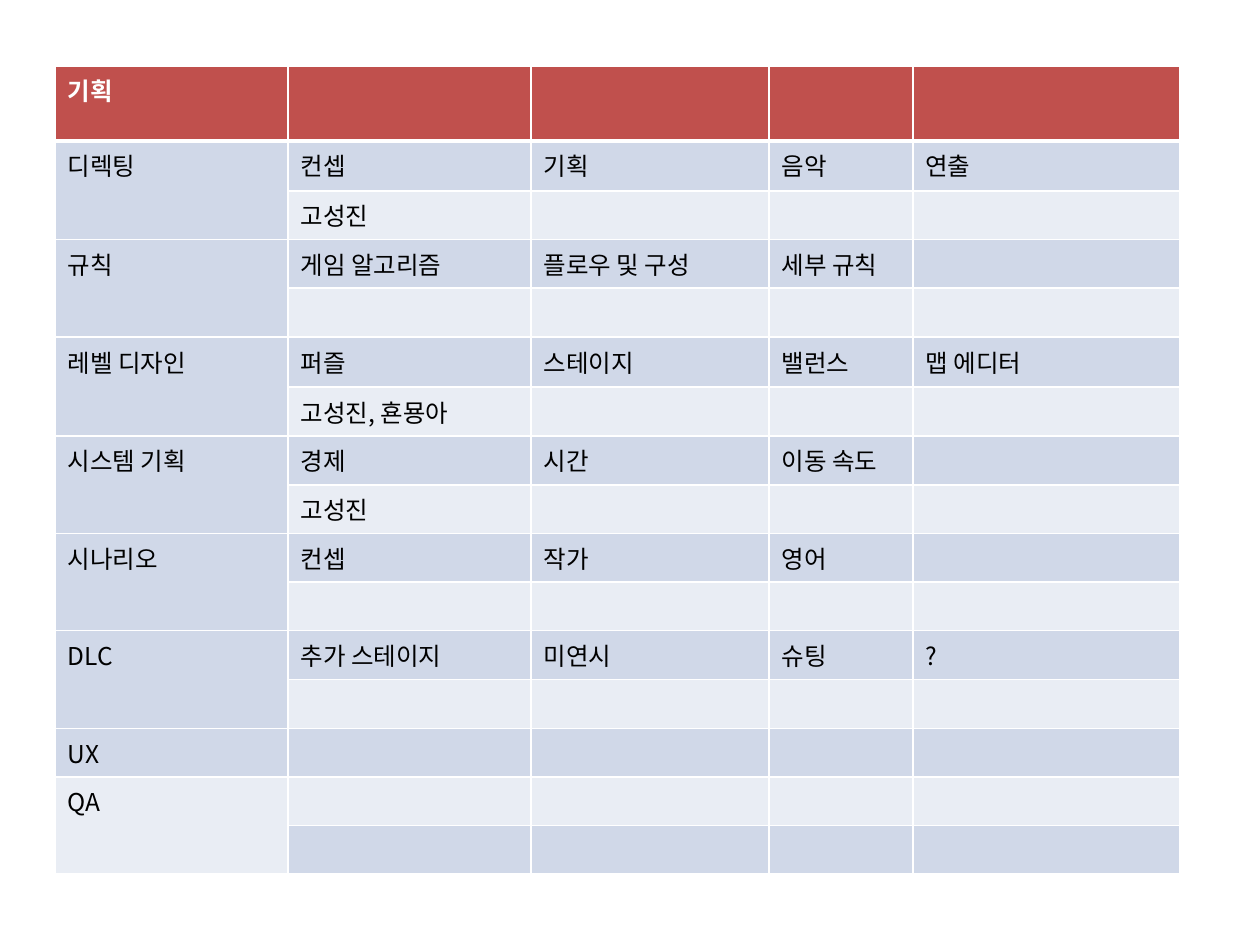
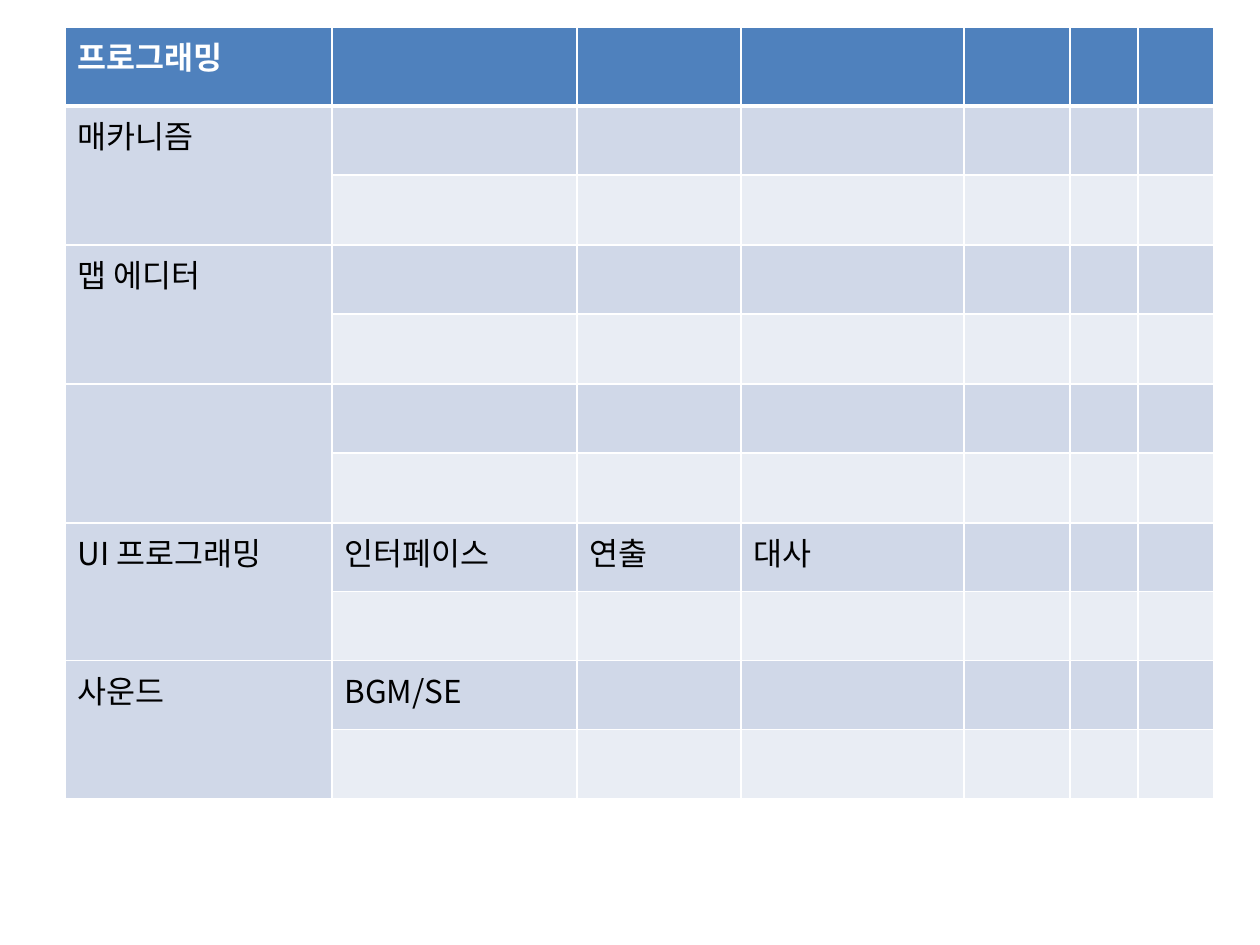
from lxml import etree
from pptx import Presentation
from pptx.dml.color import RGBColor
from pptx.oxml.ns import qn
from pptx.util import Emu, Pt

SCALE = 914400 // 126
FONT = "Noto Sans CJK KR"
COLORS = {
    "planning": "C0504D",
    "programming": "4F81BD",
    "dark_band": "D0D8E8",
    "light_band": "E9EDF4",
    "line": "FFFFFF",
    "header_text": "FFFFFF",
    "body_text": "000000",
}

TABLES = [
    {
        "title": "기획",
        "color": "planning",
        "size": 14,
        "left": 55,
        "top": 66,
        "columns": [233, 243, 238, 144, 267],
        "rows": [75, 50, 48, 49, 49, 50, 49, 49, 48, 48, 49, 49, 49, 48, 48, 48],
        "groups": [
            ("디렉팅", [["컨셉", "기획", "음악", "연출"], ["고성진"]]),
            ("규칙", [["게임 알고리즘", "플로우 및 구성", "세부 규칙"], []]),
            ("레벨 디자인", [["퍼즐", "스테이지", "밸런스", "맵 에디터"], ["고성진, 횬묭아"]]),
            ("시스템 기획", [["경제", "시간", "이동 속도"], ["고성진"]]),
            ("시나리오", [["컨셉", "작가", "영어"], []]),
            ("DLC", [["추가 스테이지", "미연시", "슈팅", "?"], []]),
            ("UX", [[]]),
            ("QA", [[], []]),
        ],
    },
    {
        "title": "프로그래밍",
        "color": "programming",
        "size": 18,
        "left": 65,
        "top": 27,
        "columns": [267, 245, 164, 223, 106, 68, 76],
        "rows": [79] + [69, 70] * 3 + [69] * 4,
        "groups": [
            ("매카니즘", [[], []]),
            ("맵 에디터", [[], []]),
            ("", [[], []]),
            ("UI 프로그래밍", [["인터페이스", "연출", "대사"], []]),
            ("사운드", [["BGM/SE"], []]),
        ],
    },
]


def px(value):
    return Emu(value * SCALE)


def add_border(cell, side, points):
    properties = cell._tc.get_or_add_tcPr()
    line = etree.SubElement(properties, qn(f"a:ln{side}"), w=str(Pt(points)))
    fill = etree.SubElement(line, qn("a:solidFill"))
    etree.SubElement(fill, qn("a:srgbClr"), val=COLORS["line"])


def style_cell(cell, text, size, fill, header, below_header):
    for side in "LRTB":
        thick = (header and side == "B") or (below_header and side == "T")
        add_border(cell, side, 3 if thick else 1)
    cell.fill.solid()
    cell.fill.fore_color.rgb = RGBColor.from_string(COLORS[fill])
    para = cell.text_frame.paragraphs[0]
    font = para.font
    font.name, font.size, font.bold = FONT, Pt(size), header
    font.color.rgb = RGBColor.from_string(COLORS["header_text" if header else "body_text"])
    if text:
        para.add_run().text = text
    else:
        etree.SubElement(para._p, qn("a:endParaRPr"), sz=str(size * 100))


def add_plan(slide, plan):
    columns, rows = plan["columns"], plan["rows"]
    table = slide.shapes.add_table(
        len(rows), len(columns), px(plan["left"]), px(plan["top"]),
        px(sum(columns)), px(sum(rows))).table
    for column, width in zip(table.columns, columns):
        column.width = px(width)
    for row, height in zip(table.rows, rows):
        row.height = px(height)

    lines = [[plan["title"]]]
    for name, entries in plan["groups"]:
        first = len(lines)
        lines += [[name if index == 0 else ""] + entry for index, entry in enumerate(entries)]
        if len(entries) > 1:
            table.cell(first, 0).merge(table.cell(len(lines) - 1, 0))

    for row, line in enumerate(lines):
        band = "dark_band" if row % 2 else "light_band"
        fill = plan["color"] if row == 0 else band
        for column in range(len(columns)):
            text = line[column] if column < len(line) else ""
            style_cell(table.cell(row, column), text, plan["size"], fill, row == 0, row == 1)


deck = Presentation()
deck.slide_width, deck.slide_height = px(1260), px(945)
for plan in TABLES:
    add_plan(deck.slides.add_slide(deck.slide_layouts[6]), plan)
deck.save("out.pptx")
